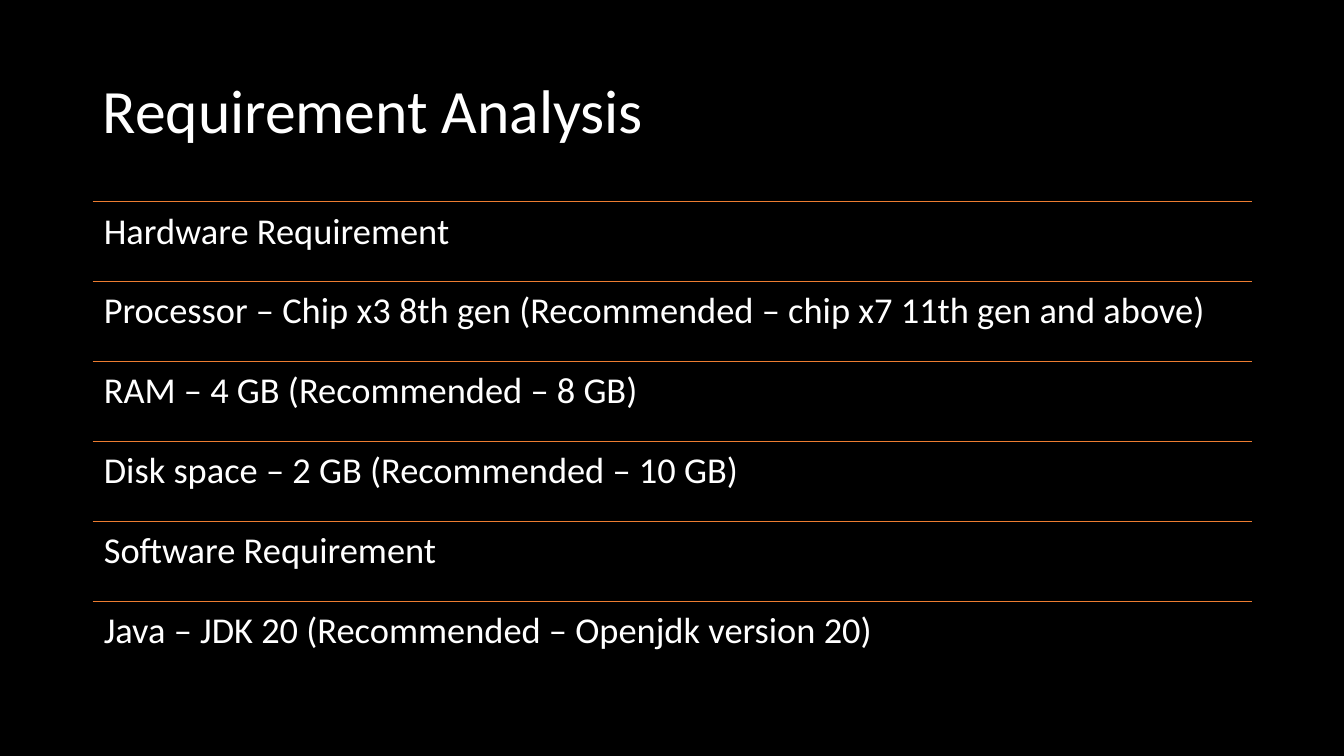
"""Build the requirement analysis slide."""
from dataclasses import dataclass

from lxml import etree
from pptx import Presentation
from pptx.dml.color import RGBColor
from pptx.enum.shapes import MSO_CONNECTOR
from pptx.enum.text import MSO_ANCHOR
from pptx.oxml.ns import qn
from pptx.slide import Slide
from pptx.util import Inches, Pt

STRAIGHT = MSO_CONNECTOR.STRAIGHT
TOP, MIDDLE = MSO_ANCHOR.TOP, MSO_ANCHOR.MIDDLE
BLACK = RGBColor(0x00, 0x00, 0x00)
WHITE = RGBColor(0xFF, 0xFF, 0xFF)
ORANGE = RGBColor(0xED, 0x7D, 0x31)
FONT = "Calibri"
LEFT, WIDTH = 0.92, 11.5
FIRST, STEP = 2.0, 0.7925


@dataclass
class Label:
    text: str
    top: float
    height: float
    size: int
    anchor: MSO_ANCHOR
    side: float
    edge: float


ITEMS = (
    "Hardware Requirement",
    "Processor – Chip x3 8th gen (Recommended – chip x7 11th gen and above)",
    "RAM – 4 GB (Recommended – 8 GB)",
    "Disk space – 2 GB (Recommended – 10 GB)",
    "Software Requirement",
    "Java – JDK 20 (Recommended – Openjdk version 20)",
)
TITLE = Label("Requirement Analysis", 0.4, 1.45, 44, MIDDLE, 0.1, 0.05)
ROWS = [Label(text, FIRST + i * STEP, STEP, 26, TOP, 0.11, 0.11)
        for i, text in enumerate(ITEMS)]


def add_label(slide: Slide, label: Label) -> None:
    """Draw one line of text in its box."""
    box = slide.shapes.add_textbox(Inches(LEFT), Inches(label.top),
                                   Inches(WIDTH), Inches(label.height))
    frame = box.text_frame
    side, edge = Inches(label.side), Inches(label.edge)
    form = {"word_wrap": True, "vertical_anchor": label.anchor,
            "margin_left": side, "margin_right": side,
            "margin_top": edge, "margin_bottom": edge}
    for name, value in form.items():
        setattr(frame, name, value)
    para = frame.paragraphs[0]
    para.line_spacing = 0.9
    run = para.add_run()
    run.text = label.text
    for name, value in {"name": FONT, "size": Pt(label.size)}.items():
        setattr(run.font, name, value)
    run.font.color.rgb = WHITE


def add_rule(slide: Slide, top: float) -> None:
    """Draw a thin line across the list."""
    rule = slide.shapes.add_connector(STRAIGHT, Inches(LEFT), Inches(top),
                                      Inches(LEFT + WIDTH), Inches(top))
    rule.line.color.rgb = ORANGE
    rule.line.width = Pt(0.5)
    etree.SubElement(rule._element.spPr, qn("a:effectLst"))


def main() -> None:
    """Build and save the deck."""
    deck = Presentation()
    deck.slide_width, deck.slide_height = Inches(13.33), Inches(7.5)
    slide = deck.slides.add_slide(deck.slide_layouts[6])
    fill = slide.background.fill
    fill.solid()
    fill.fore_color.rgb = BLACK
    add_label(slide, TITLE)
    for row in ROWS:
        add_rule(slide, row.top)
        add_label(slide, row)
    deck.save("out.pptx")


if __name__ == "__main__":
    main()
